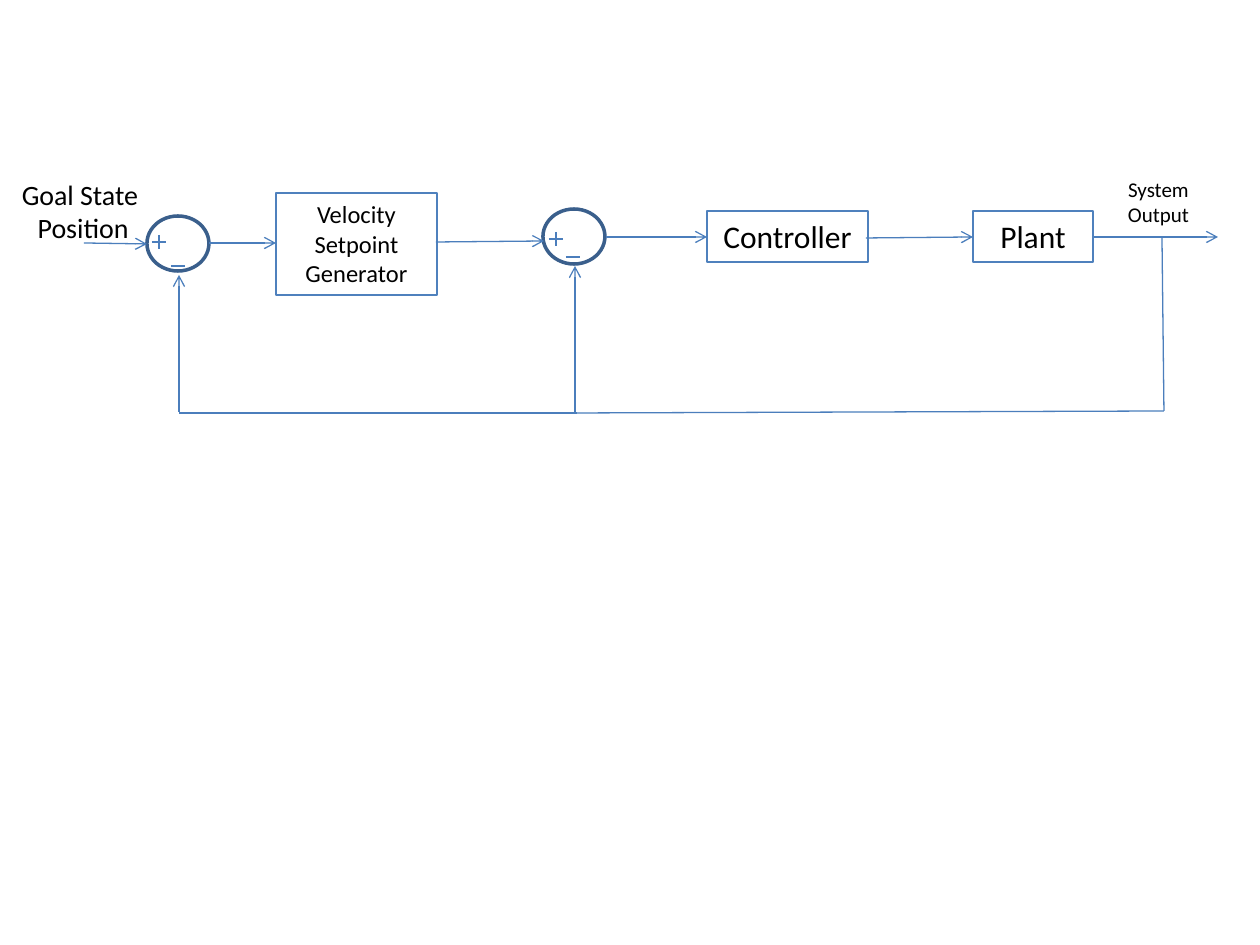
from typing import NamedTuple

from lxml.etree import SubElement
from pptx import Presentation
from pptx.dml.color import RGBColor
from pptx.enum.shapes import MSO_CONNECTOR as Connector, MSO_SHAPE as Preset
from pptx.enum.text import MSO_ANCHOR as Anchor, PP_ALIGN as Align
from pptx.oxml.ns import qn
from pptx.util import Emu, Pt

EMU_PER_PX = 914400 / 126
BLACK = "000000"
BLOCK_BLUE = "4F81BD"
LINE_BLUE = "4B7EBC"
JUNCTION_BLUE = "3A5F8C"
SIGN_HALF = 7


class Label(NamedTuple):
    lines: tuple[str, ...]
    left: int
    top: int
    width: int
    height: int
    size: int


class Block(NamedTuple):
    text: str
    left: int
    top: int
    width: int
    height: int
    size: int


class Junction(NamedTuple):
    left: int
    top: int
    plus: tuple[int, int]
    minus: tuple[int, int]


class Signal(NamedTuple):
    start: tuple[int, int]
    end: tuple[int, int]
    arrow: bool = True


LABELS = [
    Label(("Goal State", " Position"), 8, 171, 144, 81, 16),
    Label(("System", "Output"), 1115, 170, 87, 63, 12),
]
BLOCKS = [
    Block("Velocity Setpoint Generator", 276, 193, 161, 102, 14),
    Block("Controller", 707, 211, 161, 51, 18),
    Block("Plant", 973, 211, 120, 51, 18),
]
JUNCTIONS = [
    Junction(147, 216, (159, 242), (178, 266)),
    Junction(543, 209, (556, 239), (573, 257)),
]
SIGNALS = [
    Signal((84, 243), (147, 244)),
    Signal((209, 243), (276, 243)),
    Signal((436, 242), (544, 241)),
    Signal((606, 237), (707, 237)),
    Signal((866, 238), (973, 237)),
    Signal((1094, 237), (1218, 237)),
    Signal((1162, 237), (1164, 411), False),
    Signal((1164, 411), (575, 413), False),
    Signal((575, 412), (575, 266)),
    Signal((577, 413), (179, 413), False),
    Signal((179, 412), (179, 275)),
]


def px(*lengths: int) -> list[Emu]:
    return [Emu(round(length * EMU_PER_PX)) for length in lengths]


def color(value: str) -> RGBColor:
    return RGBColor.from_string(value)


def write_lines(shape, lines: tuple[str, ...], size: int) -> None:
    frame = shape.text_frame
    frame.text = "\n".join(lines)
    for paragraph in frame.paragraphs:
        paragraph.alignment = Align.CENTER
        paragraph.font.name = "Calibri"
        paragraph.font.size = Pt(size)
        paragraph.font.color.rgb = color(BLACK)


def draw_label(slide, label: Label) -> None:
    box = slide.shapes.add_textbox(*px(label.left, label.top, label.width, label.height))
    box.text_frame.word_wrap = False
    write_lines(box, label.lines, label.size)


def add_outline(slide, preset: Preset, bounds: list[Emu], line: str, width: float):
    shape = slide.shapes.add_shape(preset, *bounds)
    shape.shadow.inherit = False
    shape.fill.background()
    shape.line.color.rgb = color(line)
    shape.line.width = Pt(width)
    return shape


def draw_block(slide, block: Block) -> None:
    bounds = px(block.left, block.top, block.width, block.height)
    shape = add_outline(slide, Preset.RECTANGLE, bounds, BLOCK_BLUE, 1.25)
    shape.text_frame.word_wrap = True
    shape.text_frame.vertical_anchor = Anchor.TOP
    write_lines(shape, (block.text,), block.size)


def draw_signal(slide, signal: Signal) -> None:
    connector = slide.shapes.add_connector(Connector.STRAIGHT, *px(*signal.start, *signal.end))
    connector.line.color.rgb = color(LINE_BLUE)
    connector.line.width = Pt(0.75)
    if signal.arrow:
        SubElement(connector.line._get_or_add_ln(), qn("a:tailEnd"), type="arrow")
    SubElement(connector._element.spPr, qn("a:effectLst"))


def draw_junction(slide, junction: Junction) -> None:
    add_outline(slide, Preset.OVAL, px(junction.left, junction.top, 62, 55), JUNCTION_BLUE, 2)
    for x, y in (junction.plus, junction.minus):
        draw_signal(slide, Signal((x - SIGN_HALF, y), (x + SIGN_HALF, y), False))
    x, y = junction.plus
    draw_signal(slide, Signal((x, y - SIGN_HALF), (x, y + SIGN_HALF), False))


def main() -> None:
    presentation = Presentation()
    presentation.slide_width, presentation.slide_height = px(1260, 945)
    slide = presentation.slides.add_slide(presentation.slide_layouts[6])
    for label in LABELS:
        draw_label(slide, label)
    for block in BLOCKS:
        draw_block(slide, block)
    for junction in JUNCTIONS:
        draw_junction(slide, junction)
    for signal in SIGNALS:
        draw_signal(slide, signal)
    presentation.save("out.pptx")


if __name__ == "__main__":
    main()
